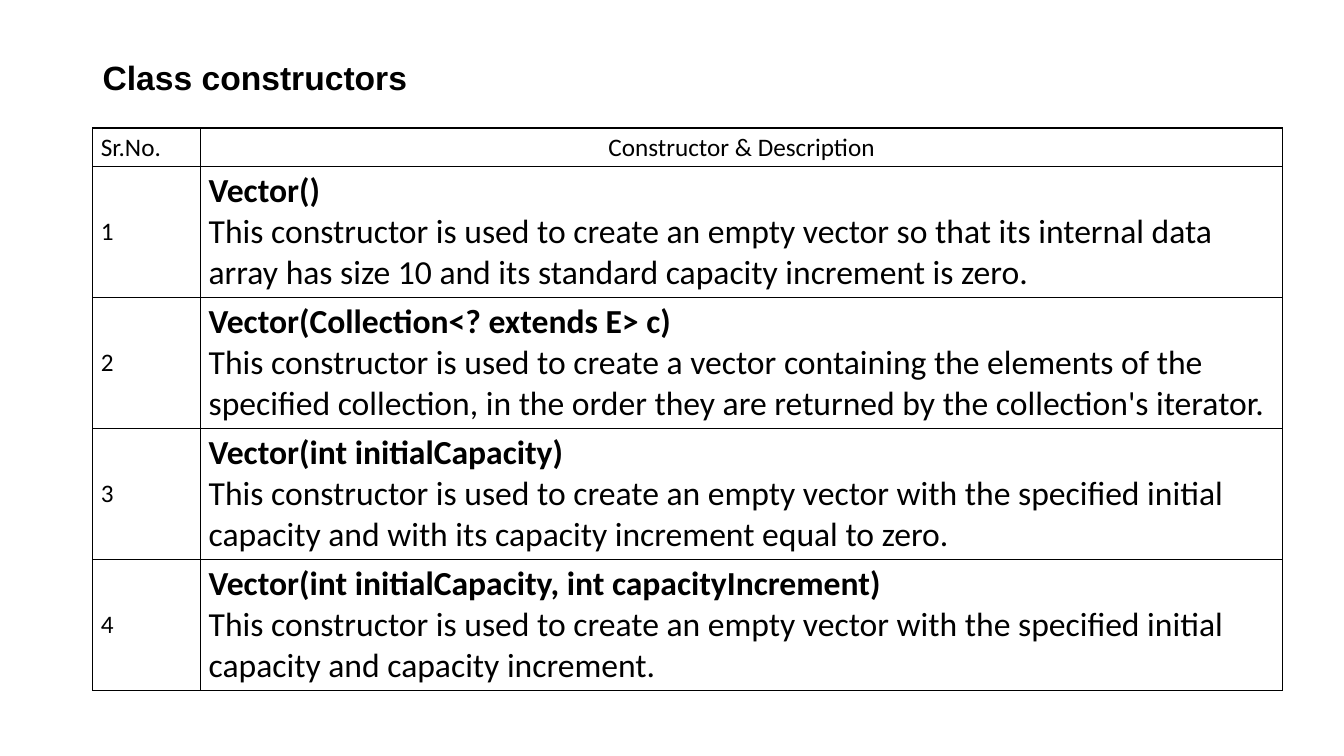
from dataclasses import dataclass

from lxml.etree import SubElement
from pptx import Presentation
from pptx.dml.color import RGBColor as Rgb
from pptx.enum.text import MSO_ANCHOR as Anchor, PP_ALIGN as Align
from pptx.oxml.ns import qn
from pptx.table import Table, _Cell as Cell
from pptx.text.text import TextFrame as Frame
from pptx.util import Pt

PX = 9144  # one hundredth of an inch


@dataclass(frozen=True)
class Theme:
    ink: str = "000000"
    paper: str = "FFFFFF"
    head: str = "Arial"
    body: str = "Calibri"
    large: int = 24
    small: int = 18
    rule: int = 1


@dataclass(frozen=True)
class Entry:
    sign: str
    text: str


THEME = Theme()
COLS = (107, 1073)
TOP_ROW, ROW = 38, 130
PAD_X, PAD_Y = 8, 4
ENTRIES = (
    Entry("Vector()",
          "This constructor is used to create an empty vector so that its internal data "
          "array has size 10 and its standard capacity increment is zero."),
    Entry("Vector(Collection<? extends E> c)",
          "This constructor is used to create a vector containing the elements of the "
          "specified collection, in the order they are returned by the collection's iterator."),
    Entry("Vector(int initialCapacity)",
          "This constructor is used to create an empty vector with the specified initial "
          "capacity and with its capacity increment equal to zero."),
    Entry("Vector(int initialCapacity, int capacityIncrement)",
          "This constructor is used to create an empty vector with the specified initial "
          "capacity and capacity increment."),
)


def px(n: int) -> int:
    return n * PX


def write(frame: Frame, text: str, *, size: int = THEME.small, font: str = THEME.body,
          bold: bool = False, align: Align = Align.LEFT) -> None:
    """Fill the first paragraph if it is free, else add one."""
    para = frame.add_paragraph() if frame.text else frame.paragraphs[0]
    para.alignment = align
    run = para.add_run()
    run.text = text
    run.font.name = font
    run.font.size = Pt(size)
    run.font.bold = bold
    run.font.color.rgb = Rgb.from_string(THEME.ink)


def border(cell: Cell) -> None:
    props = cell._tc.get_or_add_tcPr()
    for side in ("L", "R", "T", "B"):
        line = SubElement(props, qn(f"a:ln{side}"), w=str(Pt(THEME.rule)))
        fill = SubElement(line, qn("a:solidFill"))
        SubElement(fill, qn("a:srgbClr"), val=THEME.ink)


def style(cell: Cell) -> None:
    border(cell)
    cell.fill.solid()
    cell.fill.fore_color.rgb = Rgb.from_string(THEME.paper)
    cell.vertical_anchor = Anchor.MIDDLE
    cell.margin_left = cell.margin_right = px(PAD_X)
    cell.margin_top = cell.margin_bottom = px(PAD_Y)


def fill(table: Table) -> None:
    write(table.cell(0, 0).text_frame, "Sr.No.")
    write(table.cell(0, 1).text_frame, "Constructor & Description", align=Align.CENTER)
    for i, entry in enumerate(ENTRIES, 1):
        write(table.cell(i, 0).text_frame, str(i))
        frame = table.cell(i, 1).text_frame
        write(frame, entry.sign, size=THEME.large, bold=True)
        write(frame, entry.text, size=THEME.large)


def main() -> None:
    deck = Presentation()
    deck.slide_width, deck.slide_height = px(1333), px(750)
    slide = deck.slides.add_slide(deck.slide_layouts[6])

    title = slide.shapes.add_textbox(px(92), px(45), px(1150), px(62)).text_frame
    title.word_wrap = True
    title.vertical_anchor = Anchor.MIDDLE
    write(title, "Class constructors", size=THEME.large, font=THEME.head, bold=True)

    rows = (TOP_ROW,) + (ROW,) * len(ENTRIES)
    table = slide.shapes.add_table(len(rows), len(COLS), px(92), px(127),
                                   px(sum(COLS)), px(sum(rows))).table
    table.first_row = table.horz_banding = False
    for col, wide in zip(table.columns, COLS):
        col.width = px(wide)
    for row, high in zip(table.rows, rows):
        row.height = px(high)
    for cell in table.iter_cells():
        style(cell)
    fill(table)

    deck.save("out.pptx")


if __name__ == "__main__":
    main()
